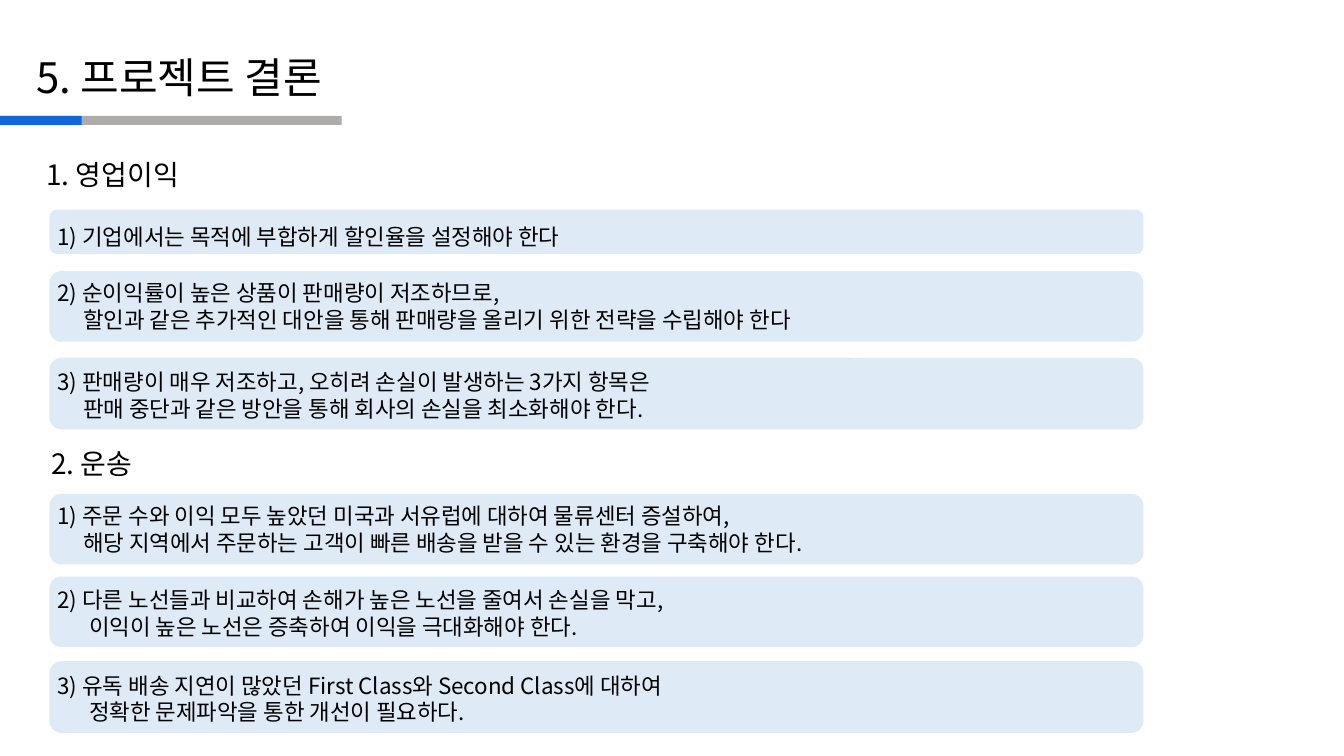
from lxml.etree import SubElement
from pptx import Presentation
from pptx.dml.color import RGBColor
from pptx.enum.shapes import MSO_SHAPE
from pptx.enum.text import MSO_ANCHOR
from pptx.oxml.ns import qn
from pptx.util import Inches, Pt

FONT = "Noto Sans CJK KR"
BLACK = RGBColor(0x00, 0x00, 0x00)
GRAY = RGBColor(0xAF, 0xAB, 0xAB)
BLUE = RGBColor(0x11, 0x67, 0xD9)
PALE_BLUE = RGBColor(0xDE, 0xEB, 0xF7)

deck = Presentation()
deck.slide_width = Inches(13.33)
deck.slide_height = Inches(7.5)
slide = deck.slides.add_slide(deck.slide_layouts[6])

# The slide is a grid of 100 columns by 100 rows
COL = deck.slide_width / 100
ROW = deck.slide_height / 100


def add_block(parent, kind, left, top, width, height, color):
    block = parent.add_shape(kind, int(left * COL), int(top * ROW),
                             int(width * COL), int(height * ROW))
    block.shadow.inherit = False
    block.fill.solid()
    block.fill.fore_color.rgb = color
    block.line.fill.background()


def add_lines(parent, left, top, width, height, lines, size, indent=0, padded=False, spacing=None):
    """Add a text box whose lines after the first are indented by some columns."""
    box = parent.add_textbox(int(left * COL), int(top * ROW),
                             int(width * COL), int(height * ROW))
    frame = box.text_frame
    frame.word_wrap = True
    if not padded:
        frame.vertical_anchor = MSO_ANCHOR.MIDDLE
        frame.margin_left = frame.margin_right = 0
        frame.margin_top = frame.margin_bottom = 0
    for number, line in enumerate(lines):
        paragraph = frame.add_paragraph() if number else frame.paragraphs[0]
        if number:
            paragraph._p.get_or_add_pPr().set("marL", str(int(indent * COL)))
        if spacing:
            paragraph.line_spacing = spacing
        run = paragraph.add_run()
        run.text = line
        run.font.size = Pt(size)
        run.font.color.rgb = BLACK
        run.font.name = FONT
        SubElement(run._r.get_or_add_rPr(), qn("a:ea")).set("typeface", FONT)


# Title and its underline
add_lines(slide.shapes, 2.7, 6.8, 52.2, 6.67, ["5. 프로젝트 결론"], 30)
underline = slide.shapes.add_group_shape().shapes
for width, color in ((25.43, GRAY), (6.08, BLUE)):
    add_block(underline, MSO_SHAPE.RECTANGLE, 0, 15.33, width, 1.2, color)

# Section headings
for left, top, heading in ((2.7, 20.13, "1. 영업이익"), (3.08, 58.4, "2. 운송")):
    add_lines(slide.shapes, left, top, 41.6, 5.87, [heading], 20, padded=True)

# Conclusions: card top, card height, text top, indent of the second line, lines
conclusions = [
    (27.73, 5.87, 28, 0, ["1) 기업에서는 목적에 부합하게 할인율을 설정해야 한다"]),
    (35.87, 9.33, 36.93, 1.9, ["2) 순이익률이 높은 상품이 판매량이 저조하므로,",
                               "할인과 같은 추가적인 대안을 통해 판매량을 올리기 위한 전략을 수립해야 한다"]),
    (47.33, 9.47, 48.67, 1.9, ["3) 판매량이 매우 저조하고, 오히려 손실이 발생하는 3가지 항목은",
                               "판매 중단과 같은 방안을 통해 회사의 손실을 최소화해야 한다."]),
    (65.33, 9.33, 66.4, 1.9, ["1) 주문 수와 이익 모두 높았던 미국과 서유럽에 대하여 물류센터 증설하여,",
                              "해당 지역에서 주문하는 고객이 빠른 배송을 받을 수 있는 환경을 구축해야 한다."]),
    (76.27, 9.33, 77.47, 2.35, ["2) 다른 노선들과 비교하여 손해가 높은 노선을 줄여서 손실을 막고,",
                                "이익이 높은 노선은 증축하여 이익을 극대화해야 한다."]),
    (87.47, 9.47, 88.8, 2.35, ["3) 유독 배송 지연이 많았던 First Class와 Second Class에 대하여",
                               "정확한 문제파악을 통한 개선이 필요하다."]),
]
for card_top, card_height, text_top, indent, lines in conclusions:
    card = slide.shapes.add_group_shape().shapes
    add_block(card, MSO_SHAPE.ROUNDED_RECTANGLE, 3.68, card_top, 81.4, card_height, PALE_BLUE)
    single = len(lines) == 1
    add_lines(card, 4.28, text_top, 80.2, 4.93 if single else 7.2, lines, 16,
              indent, spacing=1.5 if single else None)

deck.save("out.pptx")
